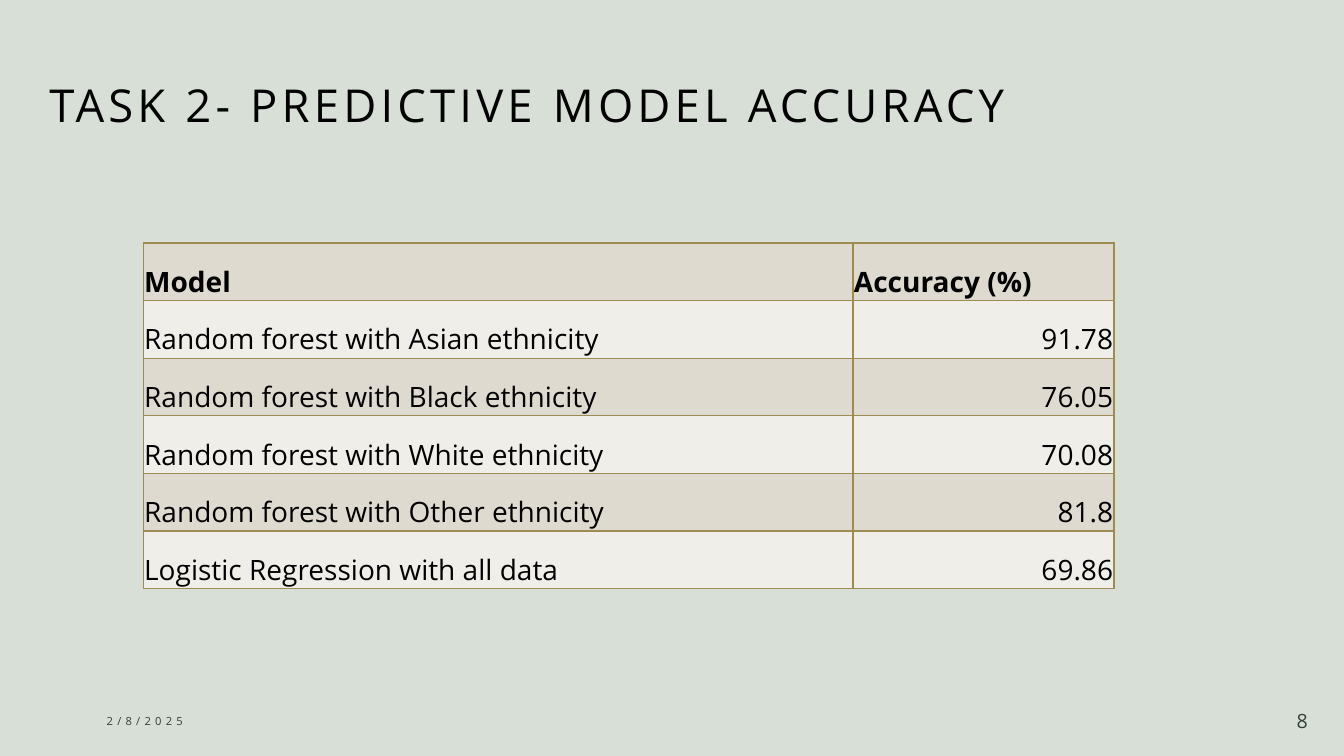
from lxml import etree
from pptx import Presentation, util as u
from pptx.dml import color
from pptx.enum import shapes, text
from pptx.oxml import ns

FONT = "Open Sans"
COLORS = {
    "background": "DCE7E0", "tint": "C0B7A5", "text": "000000", "footer": "35403A",
    "band_dark": "DFDAD0", "band_light": "F0EEE9", "border": "9E8B50",
}
ROWS = [
    ("Model", "Accuracy (%)"),
    ("Random forest with Asian ethnicity", "91.78"),
    ("Random forest with Black ethnicity", "76.05"),
    ("Random forest with White ethnicity", "70.08"),
    ("Random forest with Other ethnicity", "81.8"),
    ("Logistic Regression with all data", "69.86"),
]


def paint(fill, name):
    """Fill with a solid named colour."""
    fill.solid()
    fill.fore_color.rgb = color.RGBColor.from_string(COLORS[name])


def write(para, wording, size, name="text", bold=False, spacing=0, align=text.PP_ALIGN.LEFT):
    """Add one formatted run to a paragraph."""
    para.alignment = align
    span = para.add_run()
    span.text = wording
    span.font.name = FONT
    span.font.size = u.Pt(size)
    span.font.bold = bold
    span.font.color.rgb = color.RGBColor.from_string(COLORS[name])
    if spacing:
        span.font._element.set("spc", str(spacing * 100))


def add_background(page, box):
    """Colour the page and lay a translucent tint over it."""
    paint(page.background.fill, "background")
    tint = page.shapes.add_shape(shapes.MSO_SHAPE.RECTANGLE, *box)
    tint.shadow.inherit = False
    tint.line.fill.background()
    paint(tint.fill, "tint")
    swatch = tint._element.spPr.find(".//" + ns.qn("a:srgbClr"))
    etree.SubElement(swatch, ns.qn("a:alpha"), val="15000")
    page.shapes._spTree.insert(2, tint._element)


def add_title(page, box):
    """Place and format the title placeholder."""
    title = page.shapes.title
    title.left, title.top, title.width, title.height = box
    frame = title.text_frame
    frame.word_wrap = True
    frame.auto_size = text.MSO_AUTO_SIZE.NONE
    frame.vertical_anchor = text.MSO_ANCHOR.BOTTOM
    write(frame.paragraphs[0], "TASK 2- PREDICTIVE MODEL ACCURACY", 32.4, spacing=3)


def add_footer(page, box, wording, size, **style):
    """Add a vertically centred footer text."""
    frame = page.shapes.add_textbox(*box).text_frame
    frame.word_wrap = True
    frame.vertical_anchor = text.MSO_ANCHOR.MIDDLE
    write(frame.paragraphs[0], wording, size, "footer", **style)


def add_borders(cell):
    """Draw a thin line on each side of a cell."""
    properties = cell._tc.get_or_add_tcPr()
    for index, side in enumerate(("lnL", "lnR", "lnT", "lnB")):
        line = etree.Element(ns.qn("a:" + side), w=str(u.Pt(1)))
        fill = etree.SubElement(line, ns.qn("a:solidFill"))
        etree.SubElement(fill, ns.qn("a:srgbClr"), val=COLORS["border"])
        properties.insert(index, line)


def add_accuracy_table(page, box):
    """Build the banded table of model accuracies."""
    left, top, width, height = box
    table = page.shapes.add_table(len(ROWS), 2, left, top, width, height).table
    table.columns[0].width = u.Inches(7.04)
    table.columns[1].width = width - u.Inches(7.04)
    for r, values in enumerate(ROWS):
        for c, value in enumerate(values):
            cell = table.cell(r, c)
            cell.margin_left = cell.margin_right = cell.margin_top = u.Inches(0.01)
            cell.margin_bottom = 0
            cell.vertical_anchor = text.MSO_ANCHOR.BOTTOM
            paint(cell.fill, "band_light" if r % 2 else "band_dark")
            add_borders(cell)
            align = text.PP_ALIGN.RIGHT if r and c else text.PP_ALIGN.LEFT
            write(cell.text_frame.paragraphs[0], value, 20, bold=r == 0, align=align)


def inches(*lengths):
    """Turn numbers into a box of lengths."""
    return [u.Inches(length) for length in lengths]


def main():
    """Build and save the slide."""
    deck = Presentation()
    deck.slide_width, deck.slide_height = inches(13.33, 7.5)
    page = deck.slides.add_slide(deck.slide_layouts[5])
    add_background(page, inches(0, 0, 13.33, 7.5))
    add_title(page, inches(0.39, 0.32, 11.07, 1.04))
    add_footer(page, inches(0.96, 6.95, 3, 0.4), "2/8/2025", 8, spacing=3)
    add_footer(page, inches(12.5, 6.95, 0.57, 0.4), "8", 14, align=text.PP_ALIGN.RIGHT)
    add_accuracy_table(page, inches(1.42, 2.41, 9.63, 3.43))
    deck.save("out.pptx")


if __name__ == "__main__":
    main()
